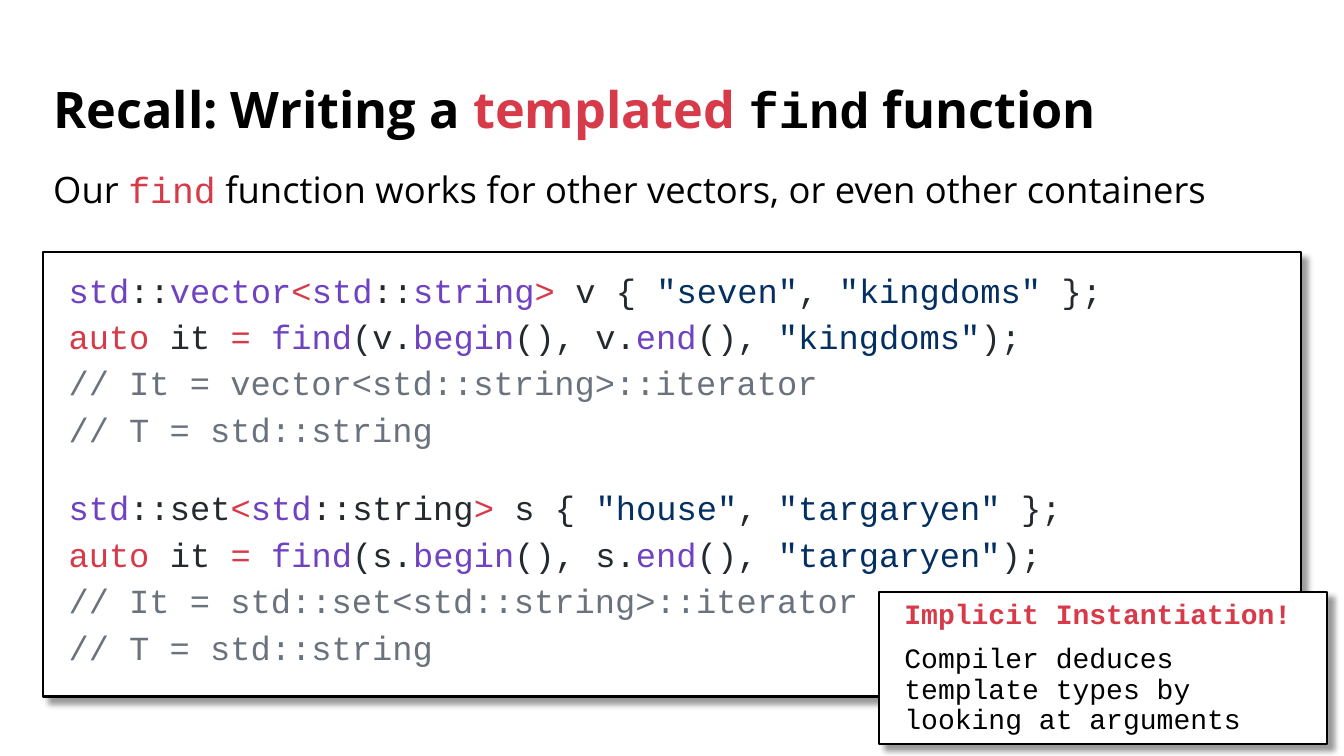
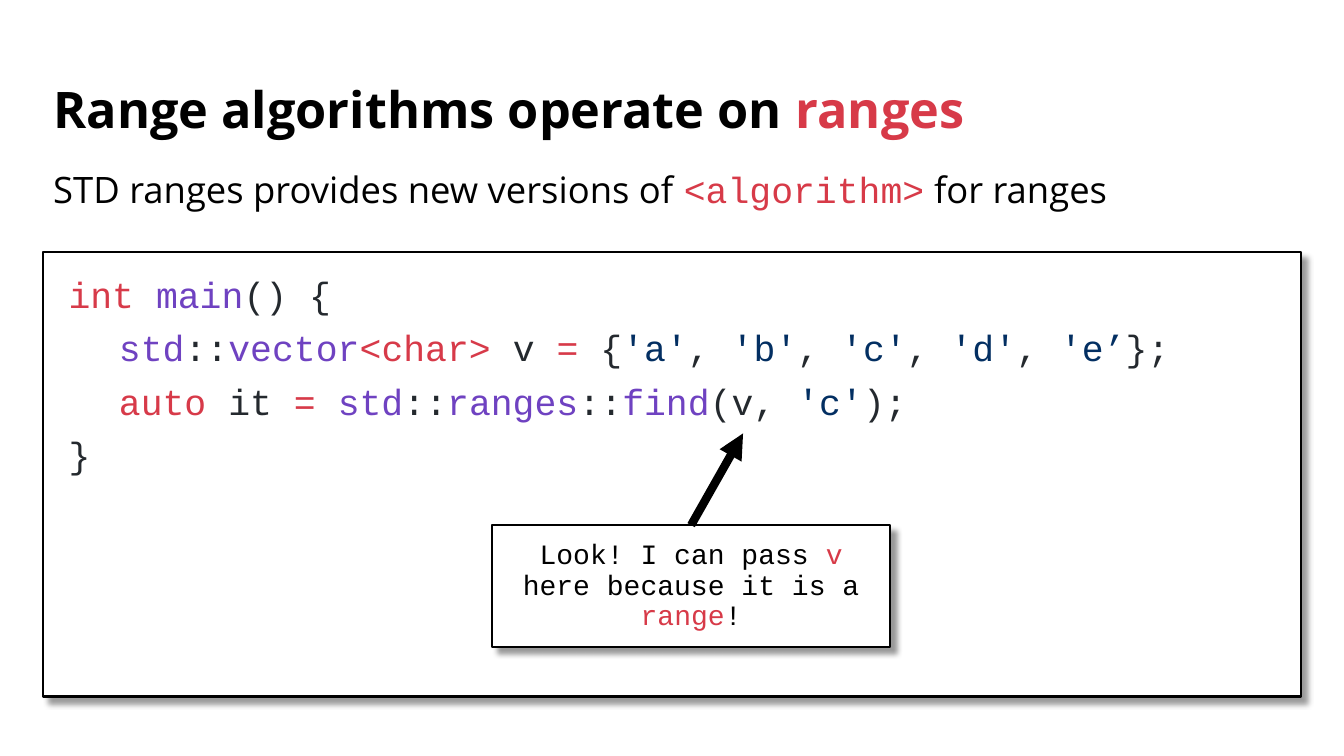
from dataclasses import dataclass, field

from lxml.etree import SubElement
from pptx import Presentation
from pptx.dml.color import RGBColor
from pptx.enum.shapes import MSO_CONNECTOR, MSO_SHAPE
from pptx.enum.text import MSO_ANCHOR, MSO_AUTO_SIZE, PP_ALIGN
from pptx.oxml.ns import qn
from pptx.util import Inches, Pt

SANS = "Open Sans"
MONO = "Courier New"


@dataclass(frozen=True)
class Theme:
    ink: str = "000000"
    paper: str = "FFFFFF"
    title_size: float = 36
    subtitle_size: float = 26
    callout_size: float = 20
    paragraph_gap: float = 10
    left: float = 0.43
    width: float = 12.47
    styles: dict = field(default_factory=lambda: {
        "plain": (SANS, "000000"),
        "accent": (SANS, "D73A48"),
        "mono": (MONO, "000000"),
        "mono accent": (MONO, "D73A48"),
        "code": (MONO, "24292E"),
        "keyword": (MONO, "D73A49"),
        "name": (MONO, "6F42C1"),
        "string": (MONO, "032F62"),
        "comment": (MONO, "6A737D"),
    })


class Deck:
    def __init__(self, theme):
        self.theme = theme
        self.presentation = Presentation()
        self.presentation.slide_width = Inches(13.33)
        self.presentation.slide_height = Inches(7.5)
        self.slide = None

    def start_slide(self, title, subtitle):
        theme = self.theme
        self.slide = self.presentation.slides.add_slide(self.presentation.slide_layouts[5])
        shape = self.slide.shapes.title
        shape.left, shape.top = Inches(theme.left), Inches(0.69)
        shape.width, shape.height = Inches(theme.width), Inches(0.84)
        shape.text_frame.vertical_anchor = MSO_ANCHOR.MIDDLE
        self.add_text(shape, [title], theme.title_size, 0.9, bold_lines=1)
        box = self.slide.shapes.add_textbox(
            Inches(theme.left), Inches(1.69), Inches(theme.width), Inches(0.47))
        self.add_text(box, [subtitle], theme.subtitle_size, 0.8)

    def add_text(self, shape, lines, size, spacing, align=PP_ALIGN.LEFT, bold_lines=0, gaps=None):
        frame = shape.text_frame
        frame.word_wrap = True
        frame.auto_size = MSO_AUTO_SIZE.NONE
        for index, line in enumerate(lines):
            paragraph = frame.add_paragraph() if index else frame.paragraphs[0]
            paragraph.alignment = align
            paragraph.line_spacing = spacing
            gap = (gaps or {}).get(index, self.theme.paragraph_gap)
            paragraph.space_before = Pt(gap if index else 0)
            if line[0][1].startswith("\t"):
                self.add_tab_stop(paragraph, 0.5)
            for style, text in line:
                run = paragraph.add_run()
                run.text = text
                run.font.size = Pt(size)
                run.font.bold = index < bold_lines
                run.font.name, color = self.theme.styles[style]
                run.font.color.rgb = RGBColor.from_string(color)

    def add_tab_stop(self, paragraph, position):
        tabs = SubElement(paragraph._p.get_or_add_pPr(), qn("a:tabLst"))
        SubElement(tabs, qn("a:tab"), pos=str(Inches(position)), algn="l")

    def add_panel(self, left, top, width, height, anchor):
        shape = self.slide.shapes.add_shape(
            MSO_SHAPE.RECTANGLE, Inches(left), Inches(top), Inches(width), Inches(height))
        shape.fill.solid()
        shape.fill.fore_color.rgb = RGBColor.from_string(self.theme.paper)
        shape.line.color.rgb = RGBColor.from_string(self.theme.ink)
        shape.line.width = Pt(1.5)
        self.add_shadow(shape)
        frame = shape.text_frame
        frame.vertical_anchor = anchor
        frame.margin_left = frame.margin_right = Inches(0.25)
        frame.margin_top = frame.margin_bottom = Inches(0.25)
        return shape

    def add_shadow(self, shape):
        shape.shadow.inherit = False
        effects = shape._element.spPr.find(qn("a:effectLst"))
        shadow = SubElement(effects, qn("a:outerShdw"), blurRad=str(Pt(4)), dist=str(Pt(6)),
                            dir="2700000", algn="tl", rotWithShape="0")
        color = SubElement(shadow, qn("a:srgbClr"), val=self.theme.ink)
        SubElement(color, qn("a:alpha"), val="40000")

    def add_code(self, lines, size, spacing, gaps=None):
        panel = self.add_panel(self.theme.left, 2.5, self.theme.width, 4.41, MSO_ANCHOR.TOP)
        self.add_text(panel, lines, size, spacing, gaps=gaps)

    def add_callout(self, left, top, width, height, lines, align=PP_ALIGN.LEFT, bold_lines=0):
        panel = self.add_panel(left, top, width, height, MSO_ANCHOR.MIDDLE)
        self.add_text(panel, lines, self.theme.callout_size, 0.9, align, bold_lines)

    def add_arrow(self, start, end):
        connector = self.slide.shapes.add_connector(
            MSO_CONNECTOR.STRAIGHT, *(Inches(value) for value in (*start, *end)))
        connector.line.color.rgb = RGBColor.from_string(self.theme.ink)
        connector.line.width = Pt(6)
        properties = connector._element.spPr
        SubElement(properties.find(qn("a:ln")), qn("a:tailEnd"), type="triangle")
        SubElement(properties, qn("a:effectLst"))


def search_example(variable, declaration, words, iterator):
    first, second = (f'"{word}"' for word in words)
    return [
        declaration + [("code", f" {variable} {{ "), ("string", first), ("code", ", "),
                       ("string", second), ("code", " };")],
        [("keyword", "auto"), ("code", " it "), ("keyword", "= "), ("name", "find"),
         ("code", f"({variable}."), ("name", "begin"), ("code", f"(), {variable}."),
         ("name", "end"), ("code", "(), "), ("string", second), ("code", ");")],
        [("comment", f"// It = {iterator}::iterator")],
        [("comment", "// T = std::string")],
    ]


def add_template_slide(deck):
    deck.start_slide(
        [("plain", "Recall: Writing a "), ("accent", "templated "), ("mono", "find"),
         ("plain", " function")],
        [("plain", "Our "), ("mono accent", "find"),
         ("plain", " function works for other vectors, or even other containers")])
    vector = [("name", "std"), ("code", "::"), ("name", "vector"), ("keyword", "<"),
              ("name", "std"), ("code", "::"), ("name", "string"), ("keyword", ">")]
    string_set = [("name", "std"), ("code", "::set"), ("keyword", "<"),
                  ("name", "std"), ("code", "::string"), ("keyword", ">")]
    vector_lines = search_example(
        "v", vector, ("seven", "kingdoms"), "vector<std::string>")
    set_lines = search_example(
        "s", string_set, ("house", "targaryen"), "std::set<std::string>")
    deck.add_code(vector_lines + set_lines, 24.1, 0.8, gaps={len(vector_lines): 33})
    deck.add_callout(8.72, 5.87, 4.44, 1.51, [
        [("mono accent", "Implicit Instantiation!")],
        [("mono", "Compiler deduces template types by looking at arguments")],
    ], bold_lines=1)


def add_ranges_slide(deck):
    deck.start_slide(
        [("plain", "Range algorithms operate on "), ("accent", "ranges")],
        [("plain", "STD ranges provides new versions of "), ("mono accent", "<algorithm>"),
         ("plain", " for ranges")])
    letters = [("string", "'a'")]
    for letter in ("'b'", "'c'", "'d'", "'e’"):
        letters += [("code", ", "), ("string", letter)]
    deck.add_code([
        [("keyword", "int "), ("name", "main"), ("code", "() {")],
        [("name", "\tstd"), ("code", "::"), ("name", "vector"), ("keyword", "<char>"),
         ("code", " v "), ("keyword", "="), ("code", " {"), *letters, ("code", "};")],
        [("keyword", "\tauto"), ("code", " it "), ("keyword", "= "), ("name", "std"),
         ("code", "::"), ("name", "ranges"), ("code", "::"), ("name", "find"),
         ("code", "(v, "), ("string", "'c'"), ("code", ");")],
        [("code", "}")],
    ], 26, 0.9)
    left, top, width = 4.88, 5.21, 3.95
    deck.add_callout(left, top, width, 1.21, [
        [("mono", "Look! I can pass "), ("mono accent", "v"),
         ("mono", " here because it is a "), ("mono accent", "range"), ("mono", "!")],
    ], PP_ALIGN.CENTER)
    deck.add_arrow((left + width / 2, top), (7.37, 4.3))


def main():
    deck = Deck(Theme())
    add_template_slide(deck)
    add_ranges_slide(deck)
    deck.presentation.save("out.pptx")


if __name__ == "__main__":
    main()
